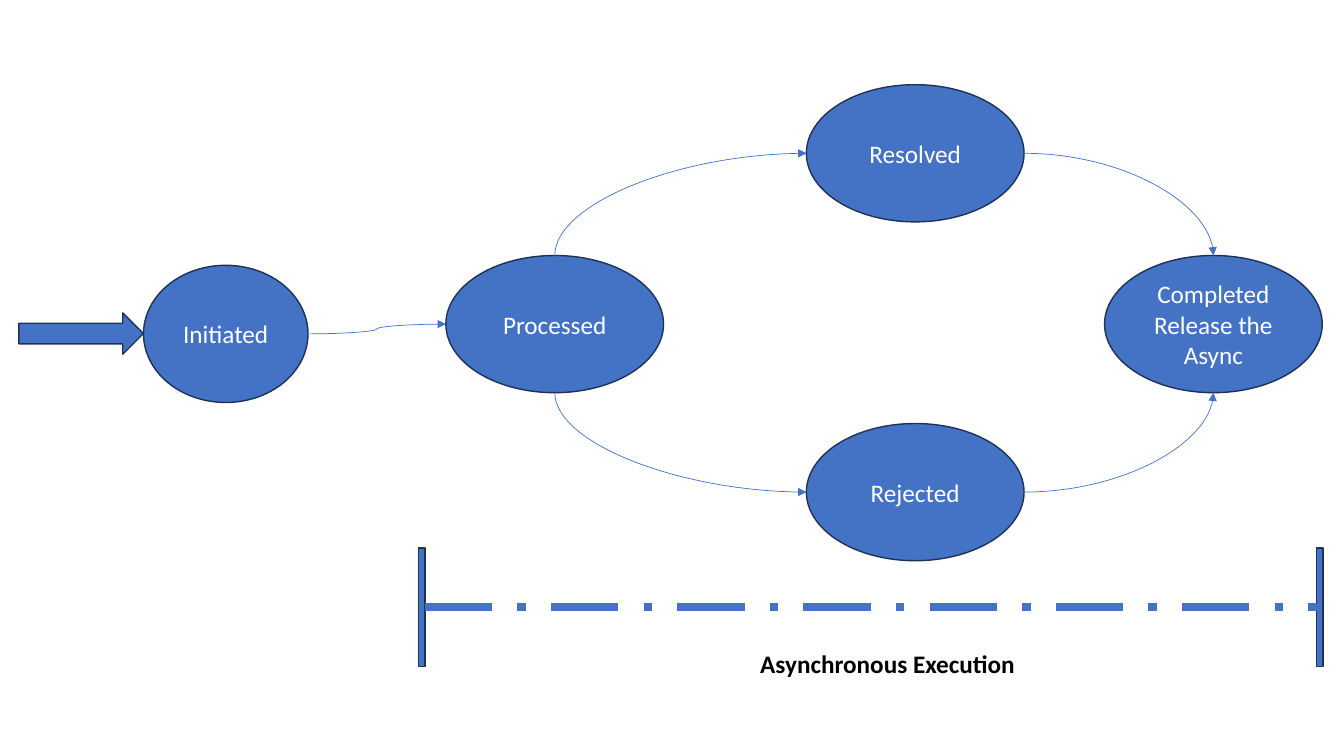
from lxml import etree
from pptx import Presentation
from pptx.dml.color import RGBColor
from pptx.enum import dml, shapes, text
from pptx.oxml.ns import qn
from pptx.util import Pt

BLUE = RGBColor(0x44, 0x72, 0xC4)
NAVY = RGBColor(0x1E, 0x32, 0x56)
WHITE = RGBColor(0xFF, 0xFF, 0xFF)
BLACK = RGBColor(0, 0, 0)
FONT = "Calibri"
STATE_WIDTH, STATE_HEIGHT = 155.5, 98
TOP, LEFT, BOTTOM, RIGHT = 0, 2, 4, 6


def write_lines(frame, lines, color, bold=False):
    frame.word_wrap = True
    frame.text = "\n".join(lines)
    for para in frame.paragraphs:
        para.alignment = text.PP_ALIGN.CENTER
        para.font.name = FONT
        para.font.size = Pt(18)
        para.font.bold = bold
        para.font.color.rgb = color


def add_solid(page, kind, left, top, width, height):
    shape = page.shapes.add_shape(kind, Pt(left), Pt(top), Pt(width), Pt(height))
    shape.shadow.inherit = False
    shape.fill.solid()
    shape.fill.fore_color.rgb = BLUE
    shape.line.color.rgb = NAVY
    shape.line.width = Pt(1)
    return shape


def add_state(page, lines, left, top, width=STATE_WIDTH):
    state = add_solid(page, shapes.MSO_SHAPE.OVAL, left, top, width, STATE_HEIGHT)
    state.text_frame.vertical_anchor = text.MSO_ANCHOR.MIDDLE
    write_lines(state.text_frame, lines, WHITE)
    return state


def add_line(page, kind, start, end, weight):
    line = page.shapes.add_connector(kind, *start, *end)
    line.line.color.rgb = BLUE
    line.line.width = Pt(weight)
    etree.SubElement(line._element.spPr, qn("a:effectLst"))
    return line


def site_point(state, site):
    across = {LEFT: 0, RIGHT: state.width}.get(site, state.width // 2)
    down = {TOP: 0, BOTTOM: state.height}.get(site, state.height // 2)
    return state.left + across, state.top + down


def turn_quarter(curve, upward):
    width, height = curve.width, curve.height
    curve.left += (width - height) // 2
    curve.top += (height - width) // 2
    curve.width, curve.height = height, width
    frame = curve._element.spPr.find(qn("a:xfrm"))
    frame.set("rot", "5400000" if upward else "16200000")
    frame.set("flipH", "1")
    frame.set("flipV", "1" if upward else "0")


def add_transition(page, source, source_site, target, target_site):
    start, end = site_point(source, source_site), site_point(target, target_site)
    curve = add_line(page, shapes.MSO_CONNECTOR.CURVE, start, end, 0.5)
    properties = curve._element.spPr
    etree.SubElement(properties.find(qn("a:ln")), qn("a:tailEnd"), type="triangle")
    joints = curve._element.find(".//" + qn("p:cNvCxnSpPr"))
    for tag, state, site in (("a:stCxn", source, source_site),
                             ("a:endCxn", target, target_site)):
        etree.SubElement(joints, qn(tag), id=str(state.shape_id), idx=str(site))
    if {source_site, target_site} != {LEFT, RIGHT}:
        properties.find(qn("a:prstGeom")).set("prst", "curvedConnector2")
    if source_site in (TOP, BOTTOM):
        turn_quarter(curve, source_site == TOP)


def draw_state_flow(page, left, top, width, height):
    middle = top + 122
    branch_left = left + 562.5
    initiated = add_state(page, ["Initiated"], left + 89, top + 129, 117.5)
    processed = add_state(page, ["Processed"], left + 305, middle)
    resolved = add_state(page, ["Resolved"], branch_left, top)
    rejected = add_state(page, ["Rejected"], branch_left, top + height - STATE_HEIGHT)
    completed = add_state(page, ["Completed", "Release the Async"],
                          left + width - STATE_WIDTH, middle)
    add_solid(page, shapes.MSO_SHAPE.RIGHT_ARROW, left, top + 163, 89, 29.5)
    add_transition(page, initiated, RIGHT, processed, LEFT)
    for branch, side in ((resolved, TOP), (rejected, BOTTOM)):
        add_transition(page, processed, side, branch, LEFT)
        add_transition(page, branch, RIGHT, completed, side)


def draw_execution_span(page, left, top, width, height):
    bar_width = 4.5
    right = left + width - bar_width
    for bar_left in (left, right):
        add_solid(page, shapes.MSO_SHAPE.RECTANGLE, bar_left, top, bar_width, height)
    level = Pt(top + height / 2)
    span = add_line(page, shapes.MSO_CONNECTOR.STRAIGHT,
                    (Pt(left + bar_width), level), (Pt(right), level), 6)
    span.line.dash_style = dml.MSO_LINE.LONG_DASH_DOT
    caption = page.shapes.add_textbox(Pt(left + 121), Pt(top + 68), Pt(428), Pt(29))
    write_lines(caption.text_frame, ["Asynchronous Execution"], BLACK, bold=True)
    caption.text_frame.auto_size = text.MSO_AUTO_SIZE.SHAPE_TO_FIT_TEXT


def main():
    deck = Presentation()
    deck.slide_width, deck.slide_height = Pt(960), Pt(540)
    page = deck.slides.add_slide(deck.slide_layouts[6])
    draw_state_flow(page, 13.5, 60.5, 931, 340)
    draw_execution_span(page, 299, 391.5, 646, 84.5)
    deck.save("out.pptx")


if __name__ == "__main__":
    main()
